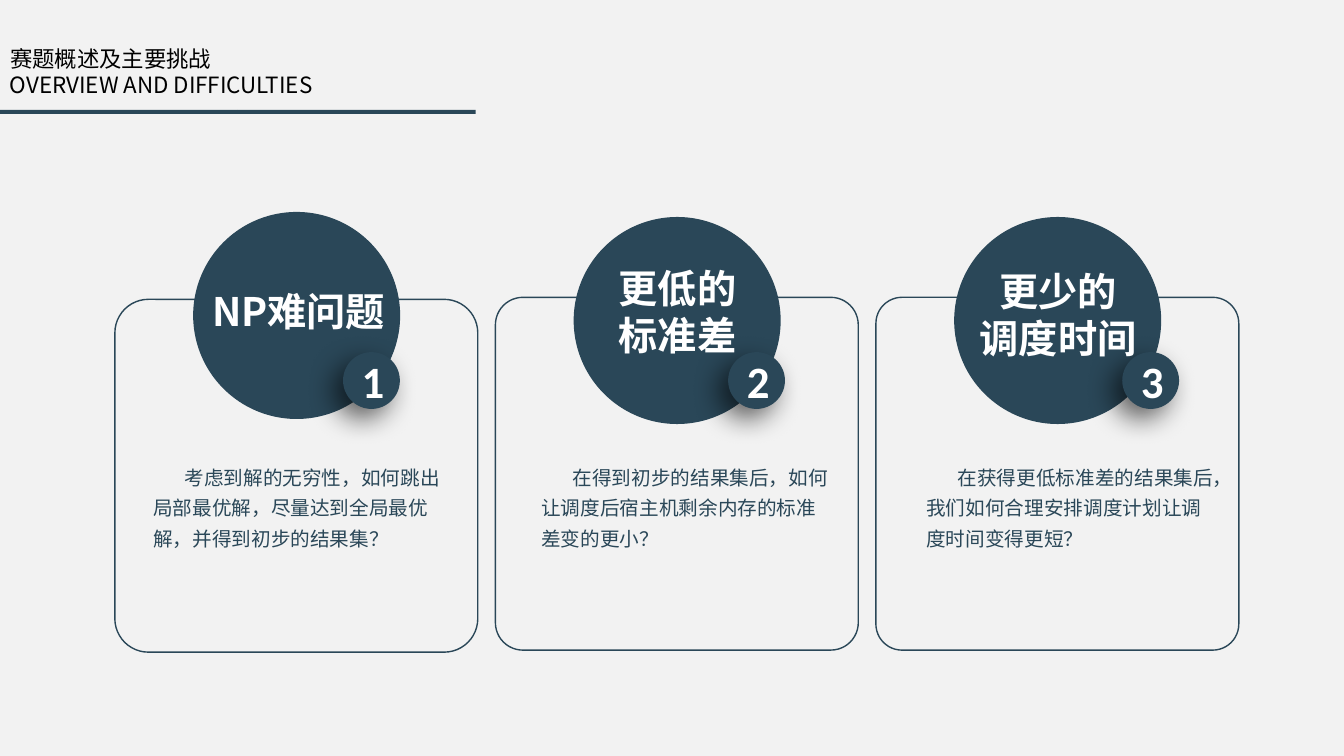
"""Build the slide on the contest overview and its three main difficulties."""
from dataclasses import dataclass
from typing import Optional

from lxml import etree
from pptx import Presentation
from pptx import util as u
from pptx.dml.color import RGBColor
from pptx.enum import shapes, text
from pptx.oxml import ns

NAVY = RGBColor(0x2A, 0x47, 0x58)
PAPER = RGBColor(0xF2, 0xF2, 0xF2)
WHITE = RGBColor(0xFF, 0xFF, 0xFF)
BLACK = RGBColor(0x00, 0x00, 0x00)
CJK_FONT = "Noto Sans CJK SC"
DIGIT_FONT = "Calibri"

SLIDE_WIDTH, SLIDE_HEIGHT = u.Inches(13.33), u.Inches(7.5)
COLUMN, ROW = SLIDE_WIDTH / 160, SLIDE_HEIGHT / 90
CARD_LEFT, CARD_PITCH = 13.68, 45.3
CARD_WIDTH, CARD_HEIGHT = 43.2, 42
DISC_INSET, DISC_SIZE = 9.4, 24.48
BADGE_TOP, BADGE_SIZE = 42, 6.6
HEADLINE_INSET = 10.4
BODY_TOP, BODY_WIDTH, BODY_HEIGHT = 54.6, 34.32, 11.04
RULE_TOP, RULE_HALF, RULE_HEIGHT = 13.08, 28.32, 0.48


@dataclass(frozen=True)
class Difficulty:
    """One card; lengths are grid columns and rows, insets count from the card's left."""
    headline: str
    body: str
    card_top: float
    corner: float
    disc_top: float
    badge_inset: float
    headline_top: float
    headline_width: float
    headline_height: float
    headline_align: text.PP_ALIGN
    body_inset: float


DIFFICULTIES = (
    Difficulty("NP难问题",
               "考虑到解的无穷性，如何跳出局部最优解，尽量达到全局最优解，并得到初步的结果集？",
               35.64, 0.095, 25.32, 27.24, 33.6, 25.2, 6.84, text.PP_ALIGN.LEFT, 4.56),
    Difficulty("更低的\n标准差",
               "在得到初步的结果集后，如何让调度后宿主机剩余内存的标准差变的更小？",
               35.4, 0.078, 25.92, 27.78, 30.84, 22.56, 12.48, text.PP_ALIGN.CENTER, 5.46),
    Difficulty("更少的\n调度时间",
               "在获得更低标准差的结果集后，我们如何合理安排调度计划让调度时间变得更短？",
               35.4, 0.074, 25.92, 29.4, 31.2, 22.56, 12.48, text.PP_ALIGN.CENTER, 6),
)


def place(left: float, top: float, width: float, height: float) -> tuple:
    """Turn grid columns and rows into slide lengths."""
    return tuple(u.Emu(round(n * unit)) for n, unit in
                 ((left, COLUMN), (top, ROW), (width, COLUMN), (height, ROW)))


def write(holder, words: str, *, size: float, color: RGBColor, font: str = CJK_FONT,
          bold: bool = False, align=text.PP_ALIGN.LEFT, anchor=text.MSO_ANCHOR.TOP,
          fit=text.MSO_AUTO_SIZE.SHAPE_TO_FIT_TEXT, margins: tuple = (0.1, 0.05),
          spacing: Optional[float] = None, indent: float = 0) -> None:
    """Write one paragraph per line of words, all in the same format."""
    frame = holder.text_frame
    frame.word_wrap, frame.auto_size, frame.vertical_anchor = True, fit, anchor
    frame.margin_left = frame.margin_right = u.Inches(margins[0])
    frame.margin_top = frame.margin_bottom = u.Inches(margins[1])
    frame.text = words
    for paragraph in frame.paragraphs:
        paragraph.alignment = align
        if spacing:
            paragraph.line_spacing = spacing
        if indent:
            paragraph._p.get_or_add_pPr().set("indent", str(u.Inches(indent)))
        for run in paragraph.runs:
            run.font.name, run.font.size, run.font.bold = font, u.Pt(size), bold
            run.font.color.rgb = color
            etree.SubElement(run._r.get_or_add_rPr(), ns.qn("a:ea"), typeface=font)


def draw(slide, kind: shapes.MSO_SHAPE, box: tuple, *, filled: bool = True,
         outlined: bool = True):
    """Draw a navy preset shape without a shadow."""
    shape = slide.shapes.add_shape(kind, *place(*box))
    shape.shadow.inherit = False
    if filled:
        shape.fill.solid()
        shape.fill.fore_color.rgb = NAVY
    else:
        shape.fill.background()
    if outlined:
        shape.line.color.rgb = NAVY
        shape.line.width = u.Pt(1)
    else:
        shape.line.fill.background()
    return shape


def cast_shadow(shape) -> None:
    """Give a shape a soft black shadow towards the lower left."""
    effects = shape._element.spPr.find(ns.qn("a:effectLst"))
    shadow = etree.SubElement(effects, ns.qn("a:outerShdw"), blurRad=str(u.Pt(20)),
                              dist=str(u.Pt(10)), dir=str(135 * 60000), algn="tr",
                              rotWithShape="0")
    tint = etree.SubElement(shadow, ns.qn("a:srgbClr"), val=str(BLACK))
    etree.SubElement(tint, ns.qn("a:alpha"), val="60000")


def draw_heading(slide) -> None:
    """Set the title, its English line and the rule below them."""
    title = slide.shapes.title
    title.left, title.top, title.width, title.height = place(0, 4.8, 45.96, 4.44)
    english = slide.shapes.add_textbox(*place(0, 7.92, 51.96, 4.44))
    write(title, "赛题概述及主要挑战", size=16, color=BLACK)
    write(english, "OVERVIEW AND DIFFICULTIES", size=16, color=BLACK)
    for half in range(2):
        draw(slide, shapes.MSO_SHAPE.RECTANGLE,
             (half * RULE_HALF, RULE_TOP, RULE_HALF, RULE_HEIGHT), outlined=False)


def draw_difficulty(slide, index: int, item: Difficulty) -> None:
    """Draw one card with its disc, numbered badge, headline and body."""
    left = CARD_LEFT + index * CARD_PITCH
    card = draw(slide, shapes.MSO_SHAPE.ROUNDED_RECTANGLE,
                (left, item.card_top, CARD_WIDTH, CARD_HEIGHT), filled=False)
    card.adjustments[0] = item.corner
    draw(slide, shapes.MSO_SHAPE.OVAL,
         (left + DISC_INSET, item.disc_top, DISC_SIZE, DISC_SIZE))
    badge = draw(slide, shapes.MSO_SHAPE.OVAL,
                 (left + item.badge_inset, BADGE_TOP, BADGE_SIZE, BADGE_SIZE))
    cast_shadow(badge)
    write(badge, str(index + 1), size=32, color=WHITE, font=DIGIT_FONT, bold=True,
          align=text.PP_ALIGN.CENTER, anchor=text.MSO_ANCHOR.MIDDLE,
          fit=text.MSO_AUTO_SIZE.NONE)
    headline = slide.shapes.add_textbox(
        *place(left + HEADLINE_INSET, item.headline_top,
               item.headline_width, item.headline_height))
    write(headline, item.headline, size=28, color=WHITE, bold=True,
          align=item.headline_align)
    body = slide.shapes.add_textbox(
        *place(left + item.body_inset, BODY_TOP, BODY_WIDTH, BODY_HEIGHT))
    write(body, item.body, size=14, color=NAVY, margins=(0, 0), spacing=1.3, indent=0.31)


def main() -> None:
    """Build and save the slide."""
    deck = Presentation()
    deck.slide_width, deck.slide_height = SLIDE_WIDTH, SLIDE_HEIGHT
    slide = deck.slides.add_slide(deck.slide_layouts.get_by_name("Title Only"))
    slide.background.fill.solid()
    slide.background.fill.fore_color.rgb = PAPER
    draw_heading(slide)
    for index, item in enumerate(DIFFICULTIES):
        draw_difficulty(slide, index, item)
    deck.save("out.pptx")


if __name__ == "__main__":
    main()
